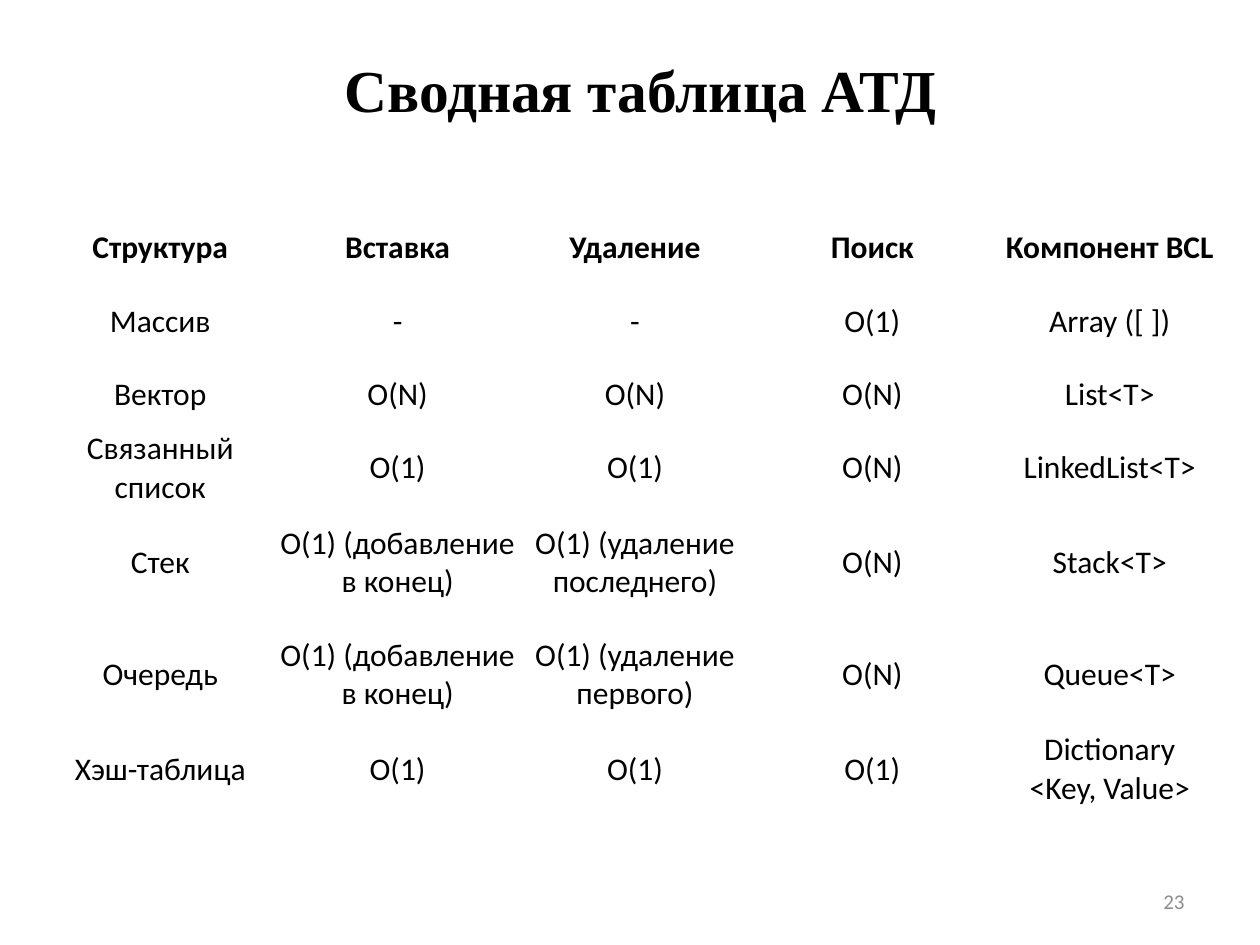
from dataclasses import dataclass

from pptx import Presentation
from pptx.dml.color import RGBColor
from pptx.enum.text import MSO_ANCHOR, PP_ALIGN
from pptx.util import Inches, Pt


@dataclass(frozen=True)
class Theme:
    title_font: str = "Times New Roman"
    body_font: str = "Calibri"
    title_size: float = 34
    body_size: float = 18
    number_size: float = 12
    text: RGBColor = RGBColor(0, 0, 0)
    muted: RGBColor = RGBColor(0x8C, 0x8C, 0x8C)


THEME = Theme()
ROW_HEIGHTS = [0.59, 0.59, 0.56, 0.59, 0.89, 0.89, 0.59]
ROWS = [
    ["Структура", "Вставка", "Удаление", "Поиск", "Компонент BCL"],
    ["Массив", "-", "-", "O(1)", "Array ([ ])"],
    ["Вектор", "O(N)", "O(N)", "O(N)", "List<T>"],
    ["Связанный список", "O(1)", "O(1)", "O(N)", "LinkedList<T>"],
    ["Стек", "O(1) (добавление в конец)", "O(1) (удаление последнего)", "O(N)", "Stack<T>"],
    ["Очередь", "O(1) (добавление в конец)", "O(1) (удаление первого)", "O(N)", "Queue<T>"],
    ["Хэш-таблица", "O(1)", "O(1)", "O(1)", "Dictionary\n<Key, Value>"],
]


def format_paragraph(p, font, size, color, align, bold=False):
    p.alignment = align
    p.font.name = font
    p.font.size = Pt(size)
    p.font.color.rgb = color
    p.font.bold = bold


def add_title(slide, text, left, top, width, height):
    sp = slide.shapes.title
    sp.left, sp.top = Inches(left), Inches(top)
    sp.width, sp.height = Inches(width), Inches(height)
    tf = sp.text_frame
    tf.text = text
    tf.word_wrap = True
    tf.vertical_anchor = MSO_ANCHOR.TOP
    tf.margin_left = tf.margin_right = tf.margin_top = tf.margin_bottom = 0
    p = tf.paragraphs[0]
    p.space_before = Pt(0.2 * THEME.title_size)
    format_paragraph(p, THEME.title_font, THEME.title_size, THEME.text,
                     PP_ALIGN.CENTER, bold=True)


def add_summary_table(slide, left, top, width):
    n_cols = len(ROWS[0])
    table = slide.shapes.add_table(
        len(ROWS), n_cols, Inches(left), Inches(top),
        Inches(width), Inches(sum(ROW_HEIGHTS))).table
    table.first_row = table.horz_banding = False
    for column in table.columns:
        column.width = Inches(width / n_cols)
    for i, (height, values) in enumerate(zip(ROW_HEIGHTS, ROWS)):
        table.rows[i].height = Inches(height)
        for j, value in enumerate(values):
            cell = table.cell(i, j)
            cell.fill.background()
            cell.vertical_anchor = MSO_ANCHOR.MIDDLE
            cell.margin_left = cell.margin_right = 0
            cell.margin_top = cell.margin_bottom = 0
            cell.text = value
            for p in cell.text_frame.paragraphs:
                format_paragraph(p, THEME.body_font, THEME.body_size, THEME.text,
                                 PP_ALIGN.CENTER, bold=i == 0)


def add_page_number(slide, number, left, top, width, height):
    sp = slide.shapes.add_textbox(Inches(left), Inches(top), Inches(width), Inches(height))
    tf = sp.text_frame
    tf.word_wrap = True
    tf.vertical_anchor = MSO_ANCHOR.MIDDLE
    tf.text = str(number)
    format_paragraph(tf.paragraphs[0], THEME.body_font, THEME.number_size,
                     THEME.muted, PP_ALIGN.RIGHT)


prs = Presentation()
prs.slide_width, prs.slide_height = Inches(10), Inches(7.5)
slide = prs.slides.add_slide(prs.slide_layouts[5])

# Heading, table and page number
add_title(slide, "Сводная таблица АТД", 1, 0.42, 8.17, 0.58)
add_summary_table(slide, 0.33, 1.67, 9.42)
add_page_number(slide, 23, 7.17, 6.95, 2.33, 0.4)

prs.save("out.pptx")
